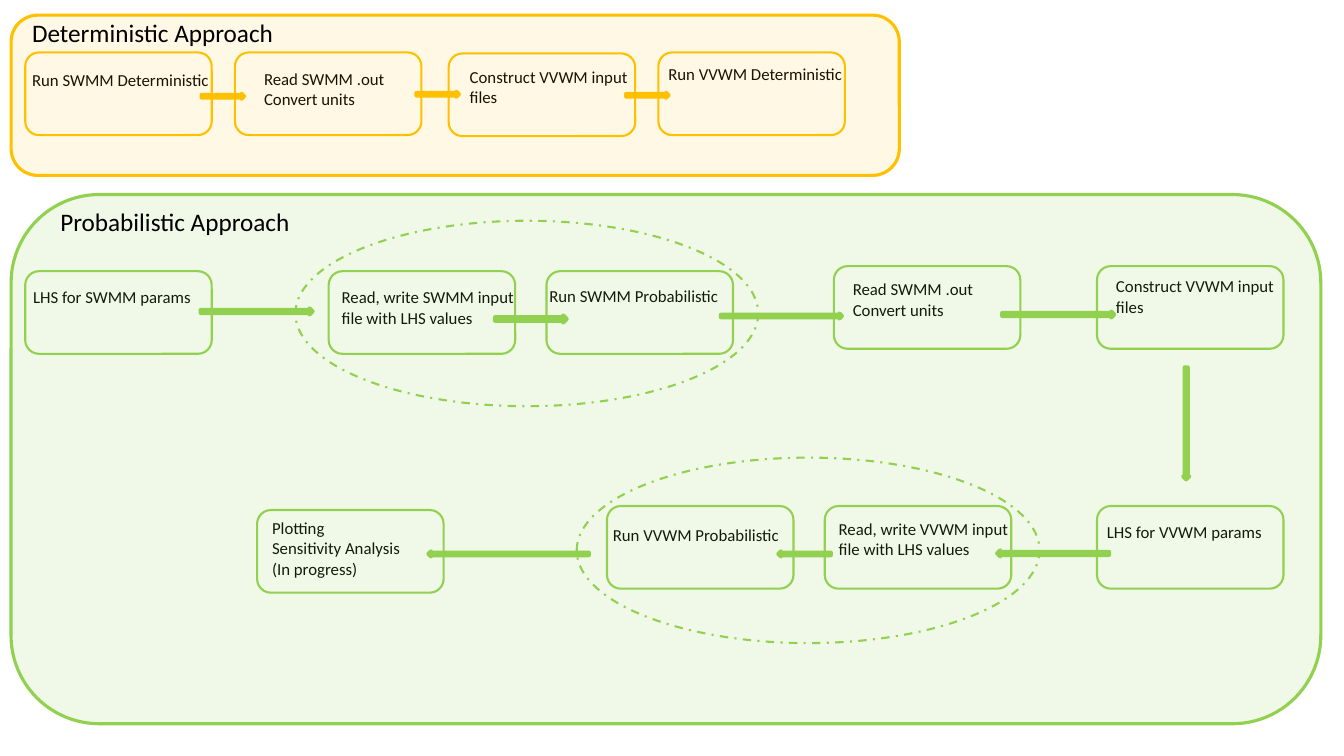
from collections import namedtuple

from lxml.etree import SubElement
from pptx import Presentation
from pptx.dml.color import RGBColor
from pptx.enum.dml import MSO_LINE
from pptx.enum.shapes import MSO_SHAPE as Preset
from pptx.enum.text import MSO_AUTO_SIZE as AutoSize
from pptx.oxml.ns import qn
from pptx.util import Inches, Pt

AMBER, GREEN, BLACK = "FFC000", "92D050", "000000"
STEP_WIDTH, STEP_HEIGHT = 1.85, 0.82
LOOP_WIDTH, LOOP_HEIGHT = 4.59, 1.84

Box = namedtuple("Box", "left top width height")
Step = namedtuple("Step", "left top label_dx label_dy label_width label")
Arrow = namedtuple("Arrow", "left top width height rotation")


def color(hex_code):
    return RGBColor.from_string(hex_code)


def inside(box, left, top, width, height):
    return Box(box.left + left, box.top + top, width, height)


def add_outline(slide, preset, box, line_color, line_width, fill=None, alpha=None):
    shape = slide.shapes.add_shape(preset, *map(Inches, box))
    shape.shadow.inherit = False
    shape.line.color.rgb = color(line_color)
    shape.line.width = Pt(line_width)
    if fill is None:
        shape.fill.background()
        return shape
    shape.fill.solid()
    shape.fill.fore_color.rgb = color(fill)
    if alpha is not None:
        tint = shape._element.spPr.find(qn("a:solidFill")).find(qn("a:srgbClr"))
        SubElement(tint, qn("a:alpha")).set("val", str(alpha * 1000))
    return shape


def add_label(slide, box, text, size):
    frame = slide.shapes.add_textbox(*map(Inches, box)).text_frame
    frame.word_wrap = True
    frame.auto_size = AutoSize.SHAPE_TO_FIT_TEXT
    frame.text = text
    font_format = {"name": "Calibri", "size": Pt(size)}
    for paragraph in frame.paragraphs:
        for attribute, value in font_format.items():
            setattr(paragraph.font, attribute, value)
        paragraph.font.color.rgb = color(BLACK)


def add_step(slide, panel, step, accent):
    frame = inside(panel, step.left, step.top, STEP_WIDTH, STEP_HEIGHT)
    add_outline(slide, Preset.ROUNDED_RECTANGLE, frame, accent, 1.5)
    label_height = 0.1 + 0.2 * (step.label.count("\n") + 1)
    label_box = inside(frame, step.label_dx, step.label_dy, step.label_width, label_height)
    add_label(slide, label_box, step.label, 12)


def add_approach(slide, panel, accent, alpha, heading, heading_at, steps, arrows, loops=()):
    for step in steps:
        add_step(slide, panel, step, accent)
    for left, top in loops:
        loop_box = inside(panel, left, top, LOOP_WIDTH, LOOP_HEIGHT)
        loop = add_outline(slide, Preset.OVAL, loop_box, accent, 1.5)
        loop.line.dash_style = MSO_LINE.DASH_DOT
    for *place, rotation in arrows:
        arrow_box = inside(panel, *place)
        arrow = add_outline(slide, Preset.RIGHT_ARROW, arrow_box, accent, 3, AMBER)
        arrow.rotation = rotation
    add_outline(slide, Preset.ROUNDED_RECTANGLE, panel, accent, 2.25, accent, alpha)
    add_label(slide, inside(panel, *heading_at, 2.6, 0.4), heading, 18)


def add_deterministic(slide, panel):
    steps = [
        Step(0.14, 0.37, -0.03, 0.12, 2.1, "Run SWMM Deterministic"),
        Step(2.22, 0.37, 0.19, 0.11, 1.62, "Read SWMM .out\nConvert units"),
        Step(4.34, 0.38, 0.11, 0.08, 1.85, "Construct VVWM input files"),
        Step(6.42, 0.37, 0, 0.06, 2, "Run VVWM Deterministic"),
    ]
    arrows = [
        Arrow(left, top, 0.42, 0.05, 0)
        for left, top in [(1.89, 0.78), (4.02, 0.76), (6.1, 0.77)]
    ]
    add_approach(slide, panel, AMBER, 10, "Deterministic Approach", (0.11, -0.03), steps, arrows)


def add_probabilistic(slide, panel):
    upper, upper_right, lower = 0.76, 0.71, 3.09
    steps = [
        Step(0.14, upper, -0.02, 0.11, 2.1, "LHS for SWMM params"),
        Step(3.15, upper, 0.03, 0.11, 2.1, "Read, write SWMM input file with LHS values"),
        Step(5.31, upper, -0.07, 0.1, 2.1, "Run SWMM Probabilistic"),
        Step(8.16, upper_right, 0.09, 0.08, 1.85, "Read SWMM .out\nConvert units"),
        Step(10.77, upper_right, 0.09, 0.05, 1.85, "Construct VVWM input files"),
        Step(10.77, lower, 0, 0.11, 2.1, "LHS for VVWM params"),
        Step(8.07, lower, 0.04, 0.08, 2.1, "Read, write VVWM input file with LHS values"),
        Step(5.91, lower, -0.04, 0.14, 2.1, "Run VVWM Probabilistic"),
        Step(2.44, 3.13, 0.05, 0.03, 2.1, "Plotting\nSensitivity Analysis\n(In progress)"),
    ]
    arrows = [
        Arrow(1.88, 1.13, 1.11, 0.06, 0),
        Arrow(4.8, 1.2, 0.71, 0.07, 0),
        Arrow(7.04, 1.18, 1.2, 0.05, 0),
        Arrow(9.83, 1.16, 1.11, 0.06, 0),
        Arrow(11.1, 2.24, 1.11, 0.06, 90),
        Arrow(9.78, 3.53, 1.11, 0.06, 180),
        Arrow(7.61, 3.54, 0.52, 0.05, 180),
        Arrow(4.14, 3.54, 1.59, 0.05, 180),
    ]
    loops = [(2.82, 0.26), (5.61, 2.61)]
    add_approach(
        slide, panel, GREEN, 13, "Probabilistic Approach", (0.39, 0.07), steps, arrows, loops
    )


def main():
    deck = Presentation()
    deck.slide_width, deck.slide_height = Inches(13.33), Inches(7.5)
    slide = deck.slides.add_slide(deck.slide_layouts[6])
    add_deterministic(slide, Box(0.11, 0.15, 8.81, 1.59))
    add_probabilistic(slide, Box(0.11, 1.93, 12.99, 5.25))
    deck.save("out.pptx")


if __name__ == "__main__":
    main()
